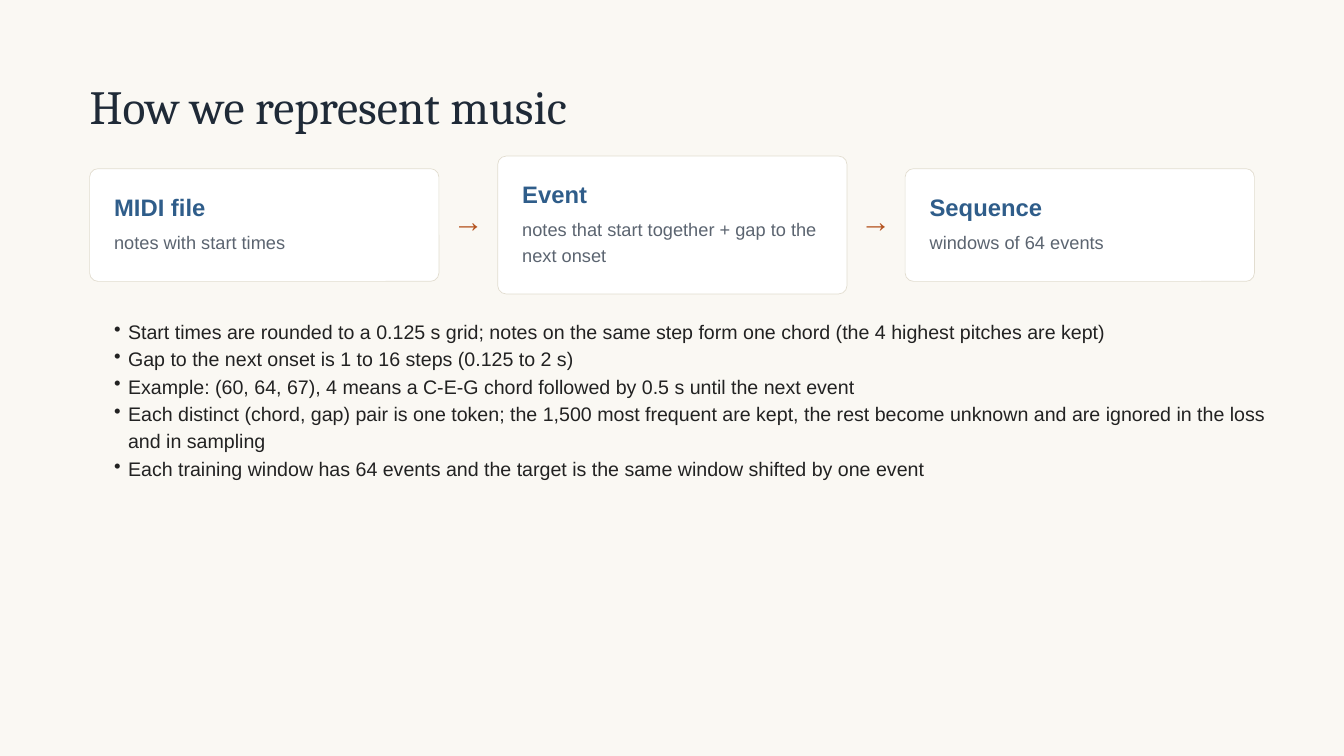
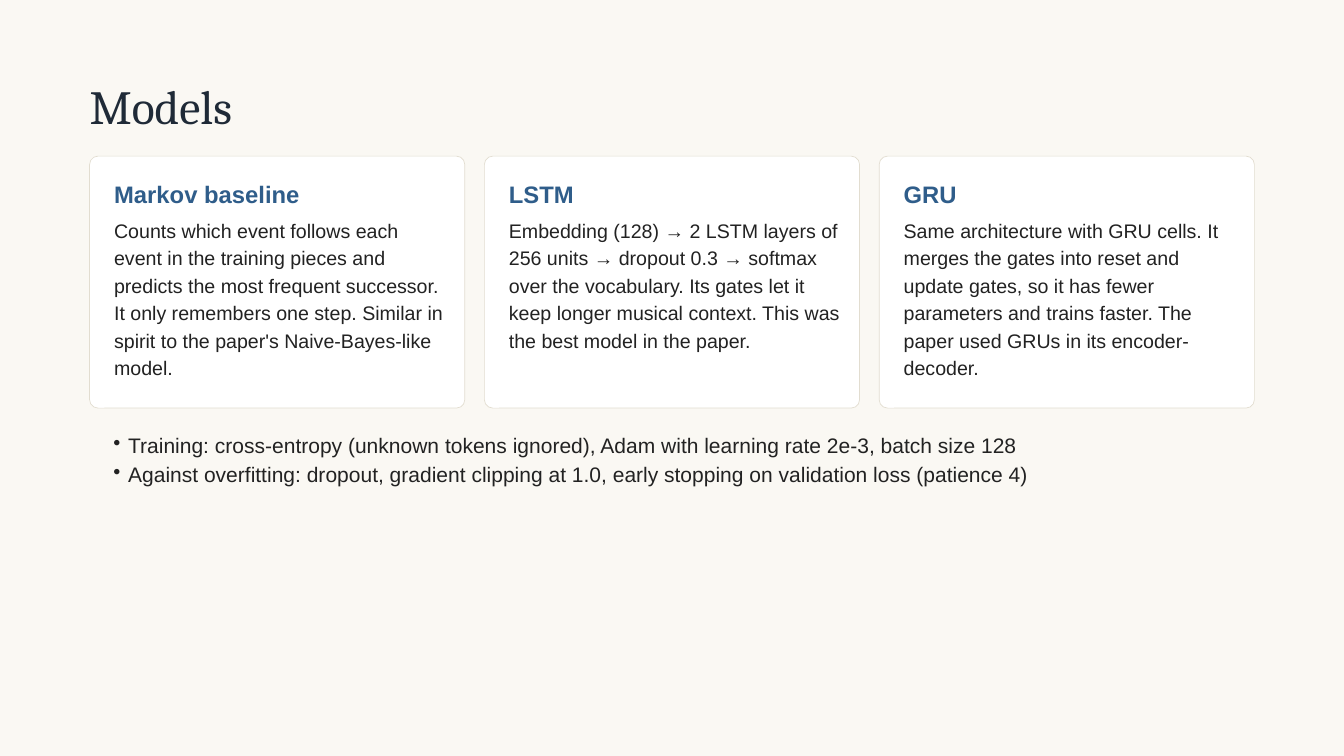
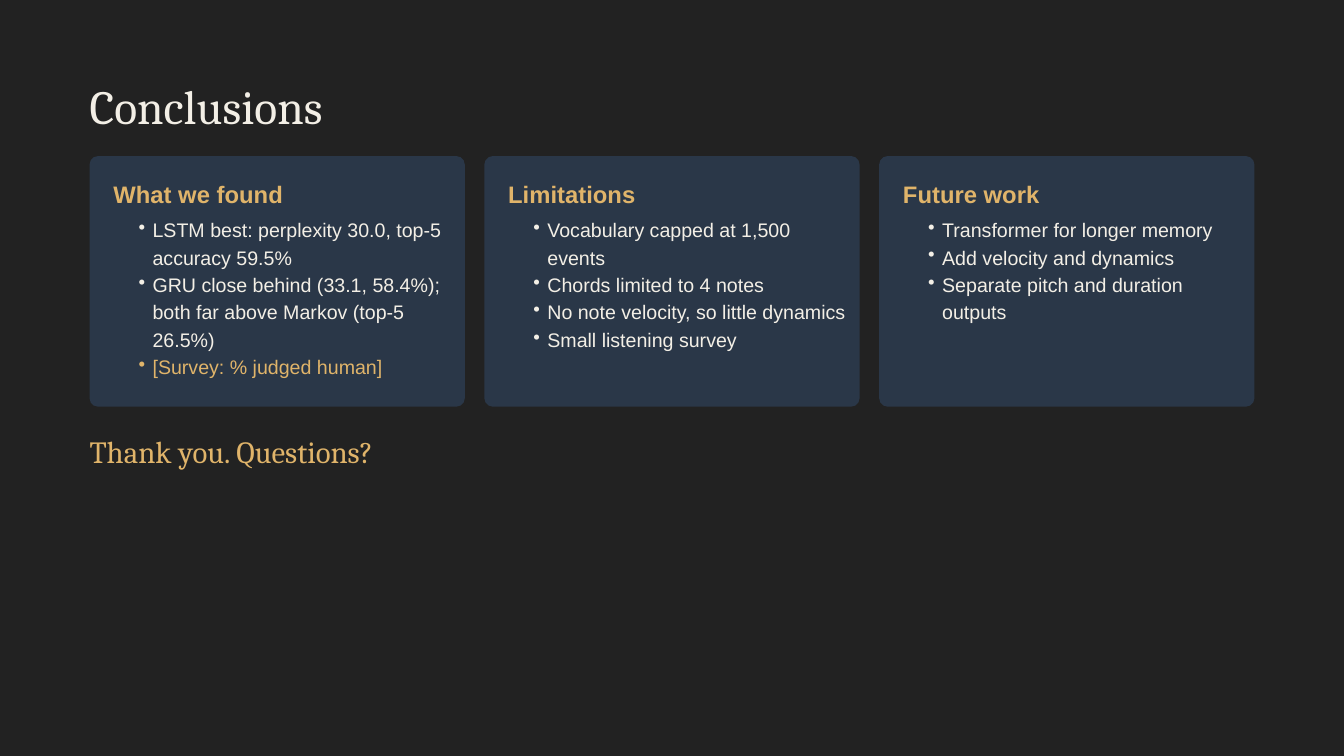
from dataclasses import dataclass

from lxml import etree
from pptx import Presentation
from pptx.dml.color import RGBColor
from pptx.enum.shapes import MSO_SHAPE
from pptx.enum.text import MSO_ANCHOR, MSO_AUTO_SIZE
from pptx.oxml.ns import qn
from pptx.util import Emu, Pt

ROUNDED = MSO_SHAPE.ROUNDED_RECTANGLE
TOP = MSO_ANCHOR.TOP
GROW = MSO_AUTO_SIZE.SHAPE_TO_FIT_TEXT

EMU_PER_PX = 9525
SLIDE_WIDTH, SLIDE_HEIGHT = 1920, 1080
MARGIN = 128
TEXT_RIGHT = 1840
CARD_TOP = 223
CARD_RADIUS = 12
CARD_COUNT = 3


@dataclass(frozen=True)
class TextStyle:
    size: float
    leading: float
    font: str = "Arial"
    bold: bool = False
    indent: int = 0  # hanging indent in px; zero means no bullet


@dataclass(frozen=True)
class Palette:
    background: str
    title: str
    card: str
    heading: str
    body: str
    muted: str
    accent: str
    border: str = ""


class Theme:
    light = Palette("FAF8F3", "1F2A37", "FFFFFF", "2F5D8A", "222222",
                    "5B6470", "B4531F", "E2DDD0")
    dark = Palette("222222", "F3EFE6", "2A3748", "E0B46A", "F3EFE6",
                   "F3EFE6", "E0B46A")
    title = TextStyle(51, 56.1, "Cambria")
    closing = TextStyle(33, 46.2, "Cambria")
    arrow = TextStyle(33, 46.2)
    heading = TextStyle(25.5, 30.6, bold=True)
    caption = TextStyle(19.5, 27.3)
    body = TextStyle(21, 29.4)
    bullets = TextStyle(21, 29.4, indent=20)
    large_bullets = TextStyle(22.5, 31.5, indent=21)


def px(length):
    return Emu(round(length * EMU_PER_PX))


def set_values(target, values):
    for name, value in values.items():
        setattr(target, name, value)


def columns(gap):
    """Left edges and common width of equal cards between the margins."""
    width = (SLIDE_WIDTH - 2 * MARGIN - gap * (CARD_COUNT - 1)) / CARD_COUNT
    lefts = [round(MARGIN + i * (width + gap)) for i in range(CARD_COUNT)]
    return lefts, round(width)


class Deck:
    def __init__(self):
        self.presentation = Presentation()
        set_values(self.presentation, {"slide_width": px(SLIDE_WIDTH),
                                       "slide_height": px(SLIDE_HEIGHT)})
        self.slide = None
        self.palette = Theme.light

    def new_slide(self, title, palette=Theme.light):
        self.palette = palette
        layout = self.presentation.slide_layouts[6]
        self.slide = self.presentation.slides.add_slide(layout)
        self.paint(self.slide.background.fill, palette.background)
        self.text((MARGIN, 116, 1714, 75), Theme.title, palette.title, title)

    def paint(self, fill, colour):
        fill.solid()
        fill.fore_color.rgb = RGBColor.from_string(colour)

    def text(self, box, style, colour, *paragraphs):
        shape = self.slide.shapes.add_textbox(*map(px, box))
        frame = shape.text_frame
        set_values(frame, {"word_wrap": True, "auto_size": GROW,
                           "vertical_anchor": TOP, "margin_left": 0,
                           "margin_right": 0, "margin_top": 0,
                           "margin_bottom": 0})
        for index, content in enumerate(paragraphs):
            paragraph = frame.add_paragraph() if index else frame.paragraphs[0]
            paragraph.line_spacing = Pt(style.leading)
            if style.indent:
                self.bullet(paragraph, style.indent)
            run = paragraph.add_run()
            run.text = content
            set_values(run.font, {"name": style.font, "size": Pt(style.size),
                                  "bold": style.bold})
            run.font.color.rgb = RGBColor.from_string(colour)
        return frame

    def bullet(self, paragraph, indent):
        paragraph.level = 1
        properties = paragraph._p.get_or_add_pPr()
        properties.set("marL", str(px(2 * indent)))
        properties.set("indent", str(px(-indent)))
        etree.SubElement(properties, qn("a:buChar")).set("char", "•")

    def card(self, box, heading, style, colour, paragraphs, body_height, inset=0):
        """Draw a panel with a heading and return the frame of its body text."""
        left, top, width, height = box
        shape = self.slide.shapes.add_shape(ROUNDED, *map(px, box))
        shape.shadow.inherit = False
        shape.adjustments[0] = CARD_RADIUS / min(width, height)
        self.paint(shape.fill, self.palette.card)
        border = 1 if self.palette.border else 0
        if border:
            self.paint(shape.line.fill, self.palette.border)
            shape.line.width = px(border)
        else:
            shape.line.fill.background()

        padding = 34 + border
        text_left, text_top = left + padding, top + 33 + border
        text_width = width - 2 * padding + 14
        self.text((text_left, text_top, text_width, 46), Theme.heading,
                  self.palette.heading, heading)
        return self.text((text_left + inset, text_top + 50, text_width - inset,
                          body_height), style, colour, *paragraphs)


def music_slide(deck):
    deck.new_slide("How we represent music")
    palette = deck.palette

    # Flow of three steps, centred on one line
    steps = [
        ("MIDI file", "notes with start times", 241, 161, 46),
        ("Event", "notes that start together + gap to the next onset",
         CARD_TOP, 197, 83),
        ("Sequence", "windows of 64 events", 241, 161, 46),
    ]
    lefts, width = columns(gap=84)
    for left, (heading, caption, top, height, body_height) in zip(lefts, steps):
        if left > MARGIN:
            deck.text((left - 64, 280, 53, 76), Theme.arrow, palette.accent, "→")
        deck.card((left, top, width, height), heading, Theme.caption,
                  palette.muted, [caption], body_height)

    # Encoding details
    deck.text(
        (143, 451, TEXT_RIGHT - 143, 244), Theme.bullets, palette.body,
        "Start times are rounded to a 0.125 s grid; notes on the same step form "
        "one chord (the 4 highest pitches are kept)",
        "Gap to the next onset is 1 to 16 steps (0.125 to 2 s)",
        "Example: (60, 64, 67), 4 means a C-E-G chord followed by 0.5 s until "
        "the next event",
        "Each distinct (chord, gap) pair is one token; the 1,500 most frequent "
        "are kept, the rest become unknown and are ignored in the loss and in "
        "sampling",
        "Each training window has 64 events and the target is the same window "
        "shifted by one event")


def models_slide(deck):
    deck.new_slide("Models")
    palette = deck.palette

    # Model cards
    models = [
        ("Markov baseline",
         "Counts which event follows each event in the training pieces and "
         "predicts the most frequent successor. It only remembers one step. "
         "Similar in spirit to the paper's Naive-Bayes-like model."),
        ("LSTM",
         "Embedding (128) → 2 LSTM layers of 256 units → dropout 0.3 → softmax "
         "over the vocabulary. Its gates let it keep longer musical context. "
         "This was the best model in the paper."),
        ("GRU",
         "Same architecture with GRU cells. It merges the gates into reset and "
         "update gates, so it has fewer parameters and trains faster. The paper "
         "used GRUs in its encoder-decoder."),
    ]
    lefts, width = columns(gap=28)
    for left, (heading, description) in zip(lefts, models):
        deck.card((left, CARD_TOP, width, 360), heading, Theme.body,
                  palette.body, [description], 244)

    # Training notes
    deck.text(
        (141, 612, TEXT_RIGHT - 141, 94), Theme.large_bullets, palette.body,
        "Training: cross-entropy (unknown tokens ignored), Adam with learning "
        "rate 2e-3, batch size 128",
        "Against overfitting: dropout, gradient clipping at 1.0, early stopping "
        "on validation loss (patience 4)")


def conclusions_slide(deck):
    deck.new_slide("Conclusions", Theme.dark)
    palette = deck.palette

    # Summary cards
    summaries = [
        ("What we found", 244,
         ["LSTM best: perplexity 30.0, top-5 accuracy 59.5%",
          "GRU close behind (33.1, 58.4%); both far above Markov (top-5 26.5%)",
          "[Survey: % judged human]"]),
        ("Limitations", 205,
         ["Vocabulary capped at 1,500 events", "Chords limited to 4 notes",
          "No note velocity, so little dynamics", "Small listening survey"]),
        ("Future work", 166,
         ["Transformer for longer memory", "Add velocity and dynamics",
          "Separate pitch and duration outputs"]),
    ]
    lefts, width = columns(gap=28)
    frames = [
        deck.card((left, CARD_TOP, width, 358), heading, Theme.bullets,
                  palette.body, points, body_height, inset=16)
        for left, (heading, body_height, points) in zip(lefts, summaries)
    ]

    # The survey result is still open, so it takes the accent colour
    survey = frames[0].paragraphs[-1].runs[0]
    survey.font.color.rgb = RGBColor.from_string(palette.accent)

    deck.text((MARGIN, 610, 1714, 73), Theme.closing, palette.accent,
              "Thank you. Questions?")


def main():
    deck = Deck()
    for build in (music_slide, models_slide, conclusions_slide):
        build(deck)
    deck.presentation.save("out.pptx")


if __name__ == "__main__":
    main()
